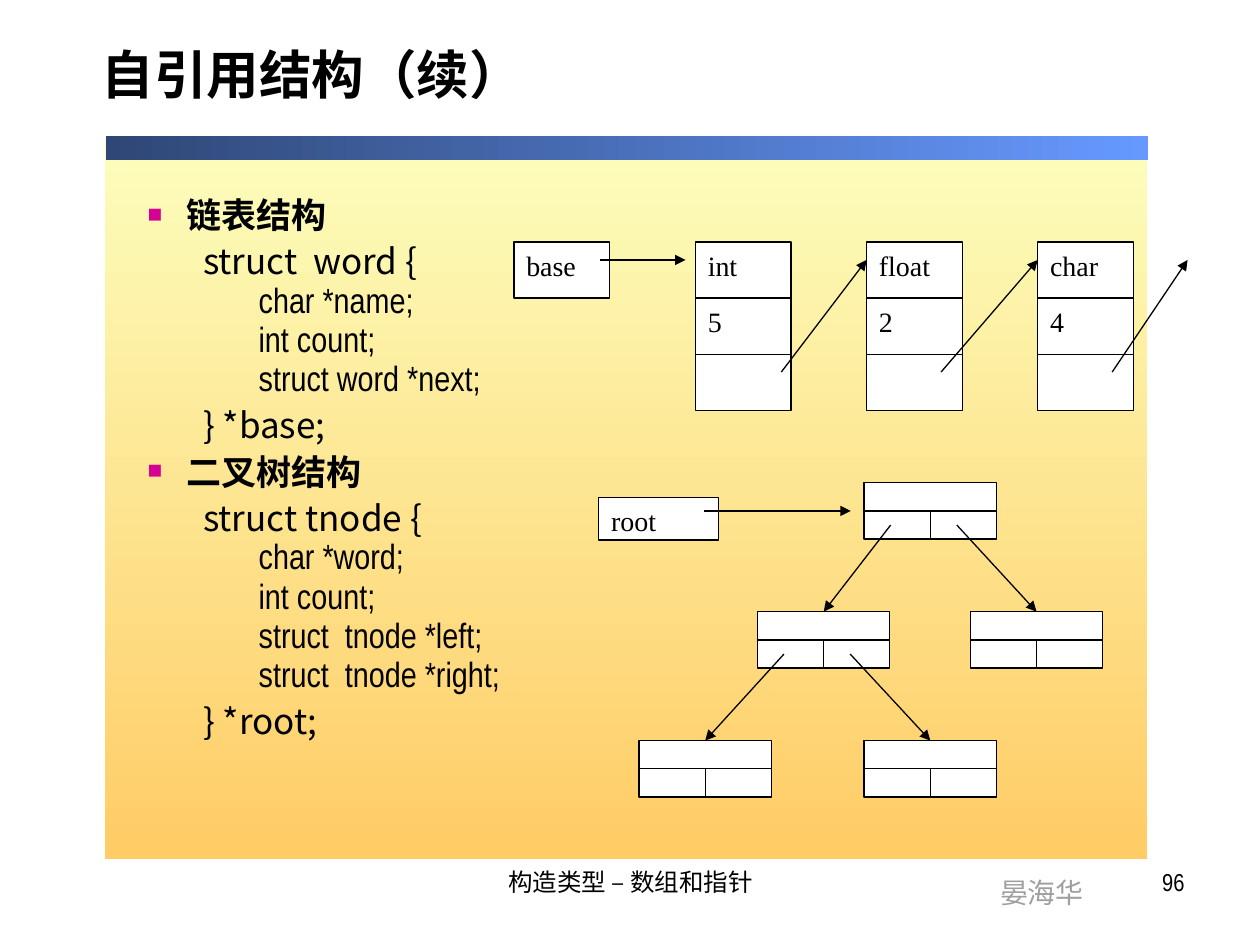
from lxml import etree
from pptx import Presentation
from pptx.dml.color import RGBColor
from pptx.enum.shapes import MSO_CONNECTOR, MSO_SHAPE
from pptx.enum.text import MSO_ANCHOR, MSO_AUTO_SIZE, PP_ALIGN
from pptx.oxml.ns import qn
from pptx.util import Cm, Pt

BLACK = RGBColor(0x00, 0x00, 0x00)
WHITE = RGBColor(0xFF, 0xFF, 0xFF)
GRAY = RGBColor(0x9F, 0x9F, 0x9F)
PALE_YELLOW = RGBColor(0xFC, 0xFE, 0xBC)
ORANGE = RGBColor(0xFF, 0xCC, 0x66)
DARK_BLUE = RGBColor(0x2F, 0x47, 0x76)
LIGHT_BLUE = RGBColor(0x66, 0x99, 0xFF)
BULLET_COLOR = "D60093"

NARROW = "Arial Narrow"
SANS = "Noto Sans CJK SC"
SERIF = "Times New Roman"

RECTANGLE = MSO_SHAPE.RECTANGLE
STRAIGHT = MSO_CONNECTOR.STRAIGHT
LEFT, CENTER, RIGHT, JUSTIFY = (
    PP_ALIGN.LEFT, PP_ALIGN.CENTER, PP_ALIGN.RIGHT, PP_ALIGN.JUSTIFY)
TOP_SIDE, LEFT_SIDE, BOTTOM_SIDE, RIGHT_SIDE = range(4)

# level: font, bold, line spacing, space before, left margin, indent
LEVEL_STYLES = {
    0: (NARROW, True, 0.7, 9.6, 0.79, -0.79),
    1: (SANS, False, 0.7, 9.6, 1.93, -0.81),
    2: (NARROW, False, 0.8, 3.2, 2.24, 0),
}
BODY_LINES = [
    (0, "链表结构"),
    (1, "struct  word {"),
    (2, "char *name;"),
    (2, "int count;"),
    (2, "struct word *next;"),
    (1, "} *base;"),
    (0, "二叉树结构"),
    (1, "struct tnode {"),
    (2, "char *word;"),
    (2, "int count;"),
    (2, "struct  tnode *left;"),
    (2, "struct  tnode *right;"),
    (1, "} *root;"),
]


def place(shape, left, top, width, height):
    shape.left, shape.top = Cm(left), Cm(top)
    shape.width, shape.height = Cm(width), Cm(height)


def format_paragraph(paragraph, font_name, size, color=BLACK, bold=False, align=LEFT):
    paragraph.alignment = align
    for run in paragraph.runs:
        run.font.name = font_name
        run.font.size = Pt(size)
        run.font.bold = bold
        run.font.color.rgb = color


def add_text(slide, text, left, top, width, height, font_name, size,
             align=LEFT, color=BLACK, wrap=True):
    box = slide.shapes.add_textbox(Cm(left), Cm(top), Cm(width), Cm(height))
    box.text_frame.text = text
    box.text_frame.word_wrap = wrap
    format_paragraph(box.text_frame.paragraphs[0], font_name, size, color, align=align)


def add_box(slide, left, top, width, height, text=""):
    box = slide.shapes.add_shape(RECTANGLE, Cm(left), Cm(top), Cm(width), Cm(height))
    box.shadow.inherit = False
    box.fill.solid()
    box.fill.fore_color.rgb = WHITE
    box.line.color.rgb = BLACK
    box.line.width = Pt(0.75)
    if text:
        box.text_frame.text = text
        box.text_frame.vertical_anchor = MSO_ANCHOR.TOP
        format_paragraph(box.text_frame.paragraphs[0], SERIF, 16, align=JUSTIFY)
    return box


def add_gradient_band(slide, left, top, width, height, colors, angle):
    band = slide.shapes.add_shape(RECTANGLE, Cm(left), Cm(top), Cm(width), Cm(height))
    band.shadow.inherit = False
    band.line.fill.background()
    band.fill.gradient()
    band.fill.gradient_angle = angle
    for stop, color in zip(band.fill.gradient_stops, colors):
        stop.color.rgb = color


def add_line(slide, start, end, arrow=False):
    line = slide.shapes.add_connector(STRAIGHT, *map(Cm, start + end))
    line.line.color.rgb = BLACK
    line.line.width = Pt(0.75)
    if arrow:
        etree.SubElement(line.line._get_or_add_ln(), qn("a:tailEnd"), type="triangle")
    etree.SubElement(line._element.spPr, qn("a:effectLst"))
    return line


def set_bullet(paragraph, margin, indent, bulleted):
    properties = paragraph._p.get_or_add_pPr()
    properties.set("marL", str(Cm(margin)))
    properties.set("indent", str(Cm(indent)))
    if bulleted:
        color = etree.SubElement(properties, qn("a:buClr"))
        etree.SubElement(color, qn("a:srgbClr"), val=BULLET_COLOR)
        etree.SubElement(properties, qn("a:buSzPct"), val="70000")
        etree.SubElement(properties, qn("a:buChar"), char="■")
    else:
        etree.SubElement(properties, qn("a:buNone"))


def add_background(slide, left, top, width):
    add_gradient_band(slide, left, top + 0.05, width, 14.53, (PALE_YELLOW, ORANGE), 270)
    add_gradient_band(slide, left + 0.02, top, width, 0.48, (DARK_BLUE, LIGHT_BLUE), 0)


def add_footer(slide, left, top):
    add_text(slide, "晏海华", left + 11.22, top + 0.18, 2.21, 0.94, SANS, 16,
             color=GRAY, wrap=False)
    add_text(slide, "构造类型 – 数组和指针", left, top, 8.05, 1.32, NARROW, 14, CENTER)
    add_text(slide, "96", left + 9.52, top, 5.92, 1.32, NARROW, 14, RIGHT)


def fill_title(title, left, top, width, height):
    place(title, left, top, width, height)
    title.text_frame.text = "自引用结构（续）"
    title.text_frame.auto_size = MSO_AUTO_SIZE.NONE
    title.text_frame.vertical_anchor = MSO_ANCHOR.MIDDLE
    paragraph = title.text_frame.paragraphs[0]
    paragraph.line_spacing = 0.8
    format_paragraph(paragraph, NARROW, 30, bold=True)


def fill_body(body, left, top, width, height):
    place(body, left, top, width, height)
    frame = body.text_frame
    frame.text = "\n".join(text for _, text in BODY_LINES)
    frame.auto_size = MSO_AUTO_SIZE.NONE
    frame.vertical_anchor = MSO_ANCHOR.TOP
    for paragraph, (level, _) in zip(frame.paragraphs, BODY_LINES):
        font_name, bold, line_spacing, space_before, margin, indent = LEVEL_STYLES[level]
        paragraph.level = level
        paragraph.line_spacing = line_spacing
        paragraph.space_before = Pt(space_before)
        paragraph.space_after = Pt(0)
        format_paragraph(paragraph, font_name, 20, bold=bold)
        set_bullet(paragraph, margin, indent, bulleted=level == 0)


def add_linked_list(slide, left, top):
    width, cell, step = 1.93, 1.13, 3.45
    first = left + 3.66
    # type name, count, start and end of the next pointer from the node's left
    nodes = [("int", "5", 1.73, step), ("float", "2", 1.5, step), ("char", "4", 1.5, 3.02)]
    add_box(slide, left, top, width, cell, "base")
    for index, (name, count, _, _) in enumerate(nodes):
        x = first + index * step
        add_box(slide, x, top, width, 3 * cell)
        for row, text in enumerate((name, count)):
            y = top + row * cell
            add_line(slide, (x, y + cell), (x + width, y + cell))
            add_text(slide, text, x, y, width, cell, SERIF, 16, JUSTIFY)
    head = top + 0.36
    add_line(slide, (left + 1.73, head), (first - 0.2, head), arrow=True)
    for index, (_, _, start, end) in enumerate(nodes):
        x = first + index * step
        add_line(slide, (x + start, top + 2.62), (x + end, head), arrow=True)


def add_tree_node(slide, left, top, width, height):
    node = add_box(slide, left, top, width, height)
    middle, center = top + height / 2, left + width / 2
    divider = add_line(slide, (left, middle), (left + width, middle))
    divider.begin_connect(node, LEFT_SIDE)
    divider.end_connect(node, RIGHT_SIDE)
    add_line(slide, (center, middle), (center, top + height)).end_connect(node, BOTTOM_SIDE)
    return node


def add_binary_tree(slide, left, top):
    width, height, level_step = 2.67, 1.14, 2.6
    positions = [(5.35, 0), (3.2, 1), (7.49, 1), (0.81, 2), (5.35, 2)]  # x, level
    links = [(0, 1, 0.2), (0, 2, 0.7), (1, 3, 0.2), (1, 4, 0.7)]  # parent, child, start
    places = [(left + x, top + level * level_step) for x, level in positions]
    add_box(slide, left, top + 0.3, 2.41, 0.86, "root")
    nodes = [add_tree_node(slide, x, y, width, height) for x, y in places]
    for parent, child, start in links:
        x, y = places[parent]
        pointer = add_line(slide, (x + start * width, y + 0.75 * height),
                           places[child], arrow=True)
        pointer.end_connect(nodes[child], TOP_SIDE)
    middle = top + height / 2
    add_line(slide, (left + 2.13, middle), (left + 5.08, middle), arrow=True)


def main():
    presentation = Presentation()
    presentation.slide_width, presentation.slide_height = Cm(25.4), Cm(19.05)
    slide = presentation.slides.add_slide(presentation.slide_layouts[1])
    title, body = slide.placeholders
    add_background(slide, 2.11, 2.74, 21.02)
    add_footer(slide, 8.69, 17.35)
    fill_title(title, 1.8, 0.43, 22.76, 2.34)
    fill_body(body, 2.72, 4.01, 19.74, 12.65)
    # Placeholders come first in the slide, so lift them above the background
    for placeholder in (title, body):
        slide.shapes._spTree.append(placeholder._element)
    add_linked_list(slide, 10.36, 4.88)
    add_binary_tree(slide, 12.07, 9.73)
    presentation.save("out.pptx")


if __name__ == "__main__":
    main()
